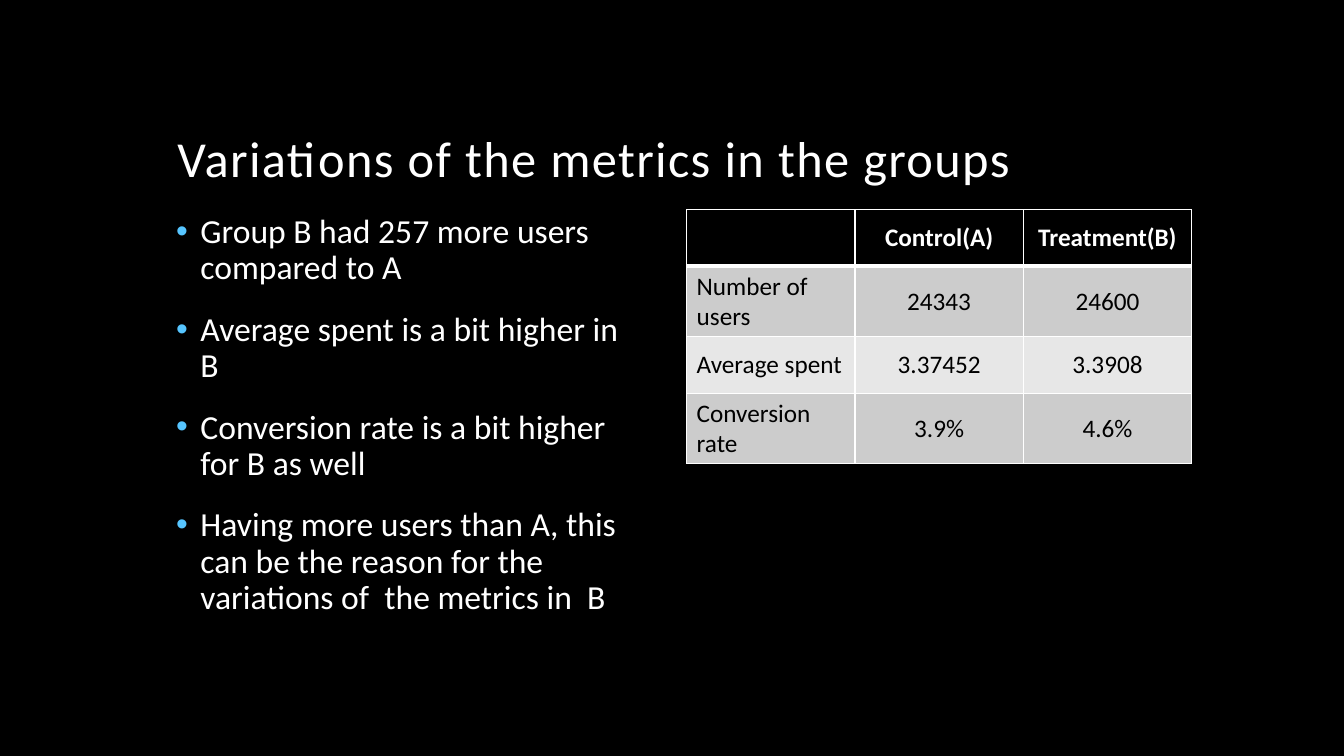
from lxml.etree import SubElement
from pptx import Presentation
from pptx.dml.color import RGBColor
from pptx.enum.text import MSO_ANCHOR as Anchor, MSO_AUTO_SIZE as AutoSize, PP_ALIGN as Align
from pptx.oxml.ns import qn
from pptx.util import Inches, Pt

BLACK = RGBColor(0x00, 0x00, 0x00)
WHITE = RGBColor(0xFF, 0xFF, 0xFF)
BLUE = RGBColor(0x56, 0xC5, 0xFF)
DARK_BAND = RGBColor(0xCC, 0xCC, 0xCC)
LIGHT_BAND = RGBColor(0xE7, 0xE7, 0xE7)

TITLE = "Variations of the metrics in the groups"
FINDINGS = [
    "Group B had 257 more users compared to A",
    "Average spent is a bit higher in B",
    "Conversion rate is a bit higher for B as well",
    "Having more users than A, this can be the reason for the variations of  the metrics in  B",
]
METRICS = [
    ["", "Control(A)", "Treatment(B)"],
    ["Number of users", "24343", "24600"],
    ["Average spent", "3.37452", "3.3908"],
    ["Conversion rate", "3.9%", "4.6%"],
]
CONTENT_TOP = Inches(2.08)
COLUMN_WIDTH, ROW_HEIGHT = Inches(1.67), Inches(0.56)


def write_text(paragraph, text, size, color=WHITE, bold=False, align=Align.LEFT,
               line_spacing=None, space_before=0):
    paragraph.alignment = align
    paragraph.line_spacing = line_spacing
    paragraph.space_before = Pt(space_before)
    run = paragraph.add_run()
    run.text = text
    run.font.name = "Calibri"
    run.font.size = Pt(size)
    run.font.bold = bold
    run.font.color.rgb = color
    return run


def add_border(cell, side, width):
    line = SubElement(cell._tc.get_or_add_tcPr(), qn(f"a:ln{side}"), w=str(Pt(width)))
    fill = SubElement(line, qn("a:solidFill"))
    SubElement(fill, qn("a:srgbClr"), val=str(WHITE))


# Slide with a black background
presentation = Presentation()
presentation.slide_width, presentation.slide_height = Inches(13.33), Inches(7.5)
slide = presentation.slides.add_slide(presentation.slide_layouts[5])
slide.background.fill.solid()
slide.background.fill.fore_color.rgb = BLACK

# Title
title = slide.shapes.title
title.left, title.top = Inches(1.66), Inches(0.42)
title.width, title.height = Inches(10), Inches(1.5)
title.text_frame.auto_size = AutoSize.NONE
title.text_frame.word_wrap = True
title.text_frame.vertical_anchor = Anchor.BOTTOM
title_run = write_text(title.text_frame.paragraphs[0], TITLE, 36, line_spacing=0.9)
title_run.font._element.set("spc", "100")

# Bulleted findings
findings_box = slide.shapes.add_textbox(Inches(1.65), CONTENT_TOP, Inches(4.83), Inches(4.5))
findings_frame = findings_box.text_frame
findings_frame.word_wrap = True
for index, finding in enumerate(FINDINGS):
    paragraph = findings_frame.add_paragraph() if index else findings_frame.paragraphs[0]
    write_text(paragraph, finding, 24, line_spacing=0.9, space_before=18)
    properties = paragraph._p.get_or_add_pPr()
    properties.set("marL", str(Inches(0.24)))
    properties.set("indent", str(-Inches(0.24)))
    bullet_color = SubElement(properties, qn("a:buClr"))
    SubElement(bullet_color, qn("a:srgbClr"), val=str(BLUE))
    SubElement(properties, qn("a:buFont"), typeface="Arial")
    SubElement(properties, qn("a:buChar"), char="•")

# Metrics table
row_count, column_count = len(METRICS), len(METRICS[0])
table = slide.shapes.add_table(row_count, column_count, Inches(6.81), CONTENT_TOP,
                               COLUMN_WIDTH * column_count, ROW_HEIGHT * row_count).table
for row, values in enumerate(METRICS):
    is_header = row == 0
    band = BLACK if is_header else DARK_BAND if row % 2 else LIGHT_BAND
    for column, value in enumerate(values):
        cell = table.cell(row, column)
        cell.vertical_anchor = Anchor.MIDDLE
        for side in "LRTB":
            beside_header = (row, side) in [(0, "B"), (1, "T")]
            add_border(cell, side, 3 if beside_header else 1)
        cell.fill.solid()
        cell.fill.fore_color.rgb = band
        if value:
            write_text(cell.text_frame.paragraphs[0], value, 18,
                       color=WHITE if is_header else BLACK, bold=is_header,
                       align=Align.CENTER if column else Align.LEFT)

presentation.save("out.pptx")
